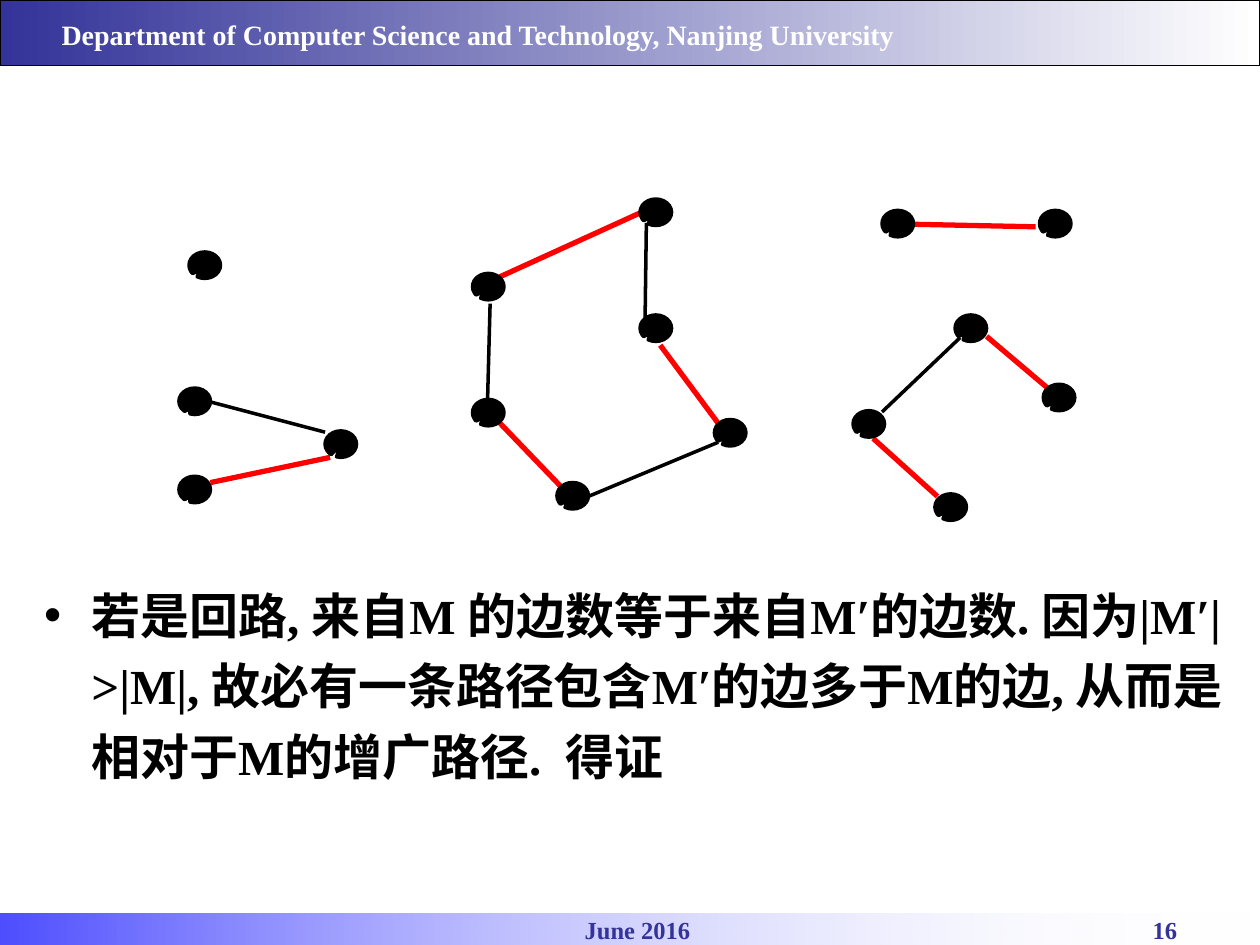
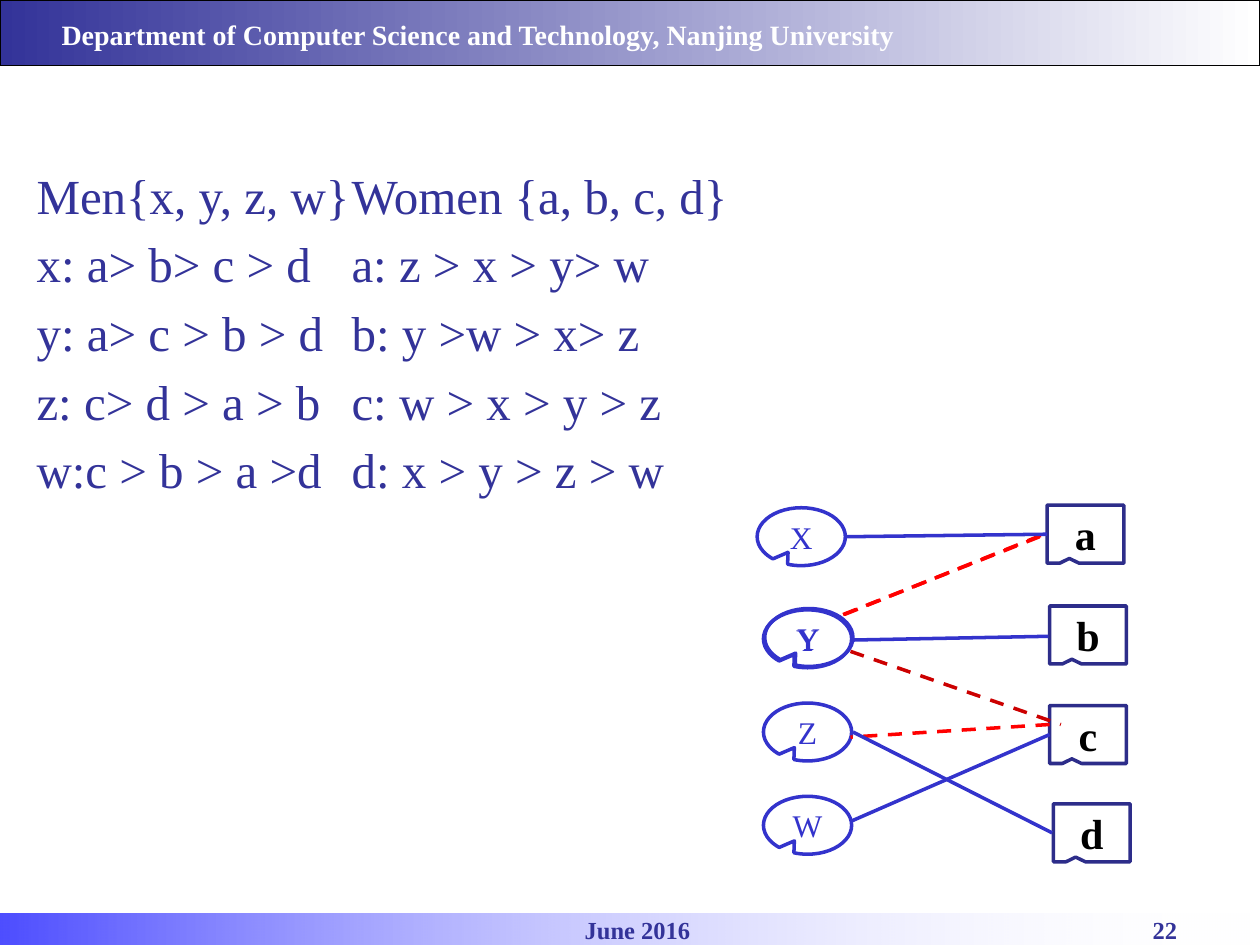
from lxml import etree
from pptx import Presentation
from pptx.dml.color import RGBColor
from pptx.enum import dml, shapes, text
from pptx.oxml import ns
from pptx.util import Inches, Pt

FONT = "Times New Roman"
NAVY = RGBColor(0x33, 0x33, 0x99)
DEEP_NAVY = RGBColor(0x2D, 0x2D, 0x8A)
BLUE = RGBColor(0x33, 0x33, 0xCC)
PURE_BLUE = RGBColor(0x00, 0x00, 0xFF)
RED = RGBColor(0xFF, 0x00, 0x00)
DARK_RED = RGBColor(0xCC, 0x00, 0x00)
BLACK = RGBColor(0x00, 0x00, 0x00)
WHITE = RGBColor(0xFF, 0xFF, 0xFF)
ELLIPSE = shapes.MSO_SHAPE.OVAL_CALLOUT
RECTANGLE = shapes.MSO_SHAPE.RECTANGULAR_CALLOUT


# Basic parts
def add_run(paragraph, words, size, color, bold=False):
    run = paragraph.add_run()
    run.text = words
    run.font.name, run.font.size = FONT, Pt(size)
    run.font.color.rgb, run.font.bold = color, bold


def add_label(slide, box, words, size, color, align):
    frame = slide.shapes.add_textbox(*map(Inches, box)).text_frame
    frame.word_wrap = True
    paragraph = frame.paragraphs[0]
    paragraph.alignment = align
    add_run(paragraph, words, size, color, bold=True)
    return paragraph


def add_band(slide, box, start, alphas=None):
    band = slide.shapes.add_shape(shapes.MSO_SHAPE.RECTANGLE, *map(Inches, box))
    band.shadow.inherit = False
    band.fill.gradient()
    band.fill.gradient_angle = 0
    for stop, color in zip(band.fill.gradient_stops, (start, WHITE)):
        stop.color.rgb = color
    if alphas:
        colors = band._element.spPr.iter(ns.qn("a:srgbClr"))
        for color, alpha in zip(colors, alphas):
            etree.SubElement(color, ns.qn("a:alpha"), val=str(alpha * 1000))
    return band


def add_edge(slide, origin, ends, color, width=2, dashed=False):
    left, top = origin
    x1, y1, x2, y2 = ends
    edge = slide.shapes.add_connector(
        shapes.MSO_CONNECTOR.STRAIGHT, Inches(left + x1), Inches(top + y1),
        Inches(left + x2), Inches(top + y2))
    edge.line.color.rgb, edge.line.width = color, Pt(width)
    if dashed:
        edge.line.dash_style = dml.MSO_LINE.DASH
    etree.SubElement(edge._element.spPr, ns.qn("a:effectLst"))


def add_callout(slide, kind, box, tip, line, fill=None):
    callout = slide.shapes.add_shape(kind, *map(Inches, box))
    callout.shadow.inherit = False
    callout.adjustments[0], callout.adjustments[1] = tip
    callout.line.color.rgb, callout.line.width = line, Pt(2)
    if fill is None:
        callout.fill.background()
    else:
        callout.fill.solid()
        callout.fill.fore_color.rgb = fill
    return callout


def add_person(slide, kind, box, tip, line, fill, name, size, color, bold):
    person = add_callout(slide, kind, box, tip, line, fill)
    frame = person.text_frame
    frame.word_wrap = False
    frame.vertical_anchor = text.MSO_ANCHOR.MIDDLE
    frame.paragraphs[0].alignment = text.PP_ALIGN.CENTER
    add_run(frame.paragraphs[0], name, size, color, bold)


# Shared frame: header band, footer band, date and page number
def add_framed_slide(deck, number):
    slide = deck.slides.add_slide(deck.slide_layouts[1])
    title = slide.shapes.title._element
    title.getparent().remove(title)
    header = add_band(slide, (0, 0, 10, 0.52), NAVY)
    header.line.color.rgb, header.line.width = BLACK, Pt(0.75)
    footer = add_band(slide, (0, 7.25, 10, 0.25), PURE_BLUE, alphas=(70, 0))
    footer.line.fill.background()
    add_label(slide, (0.06, 7.21, 10, 0.33), "June 2016", 14, NAVY,
              text.PP_ALIGN.CENTER)
    add_label(slide, (8.44, 7.21, 1, 0.33), str(number), 14, NAVY,
              text.PP_ALIGN.RIGHT)
    department = add_label(
        slide, (0.39, 0.12, 7.08, 0.67),
        "Department of Computer Science and Technology, Nanjing University",
        16, WHITE, text.PP_ALIGN.LEFT)
    department.line_spacing = 0.9
    return slide


def open_body(slide, box):
    body = slide.placeholders[1]
    body.left, body.top, body.width, body.height = map(Inches, box)
    body.text_frame.auto_size = text.MSO_AUTO_SIZE.NONE
    return body.text_frame


# Components of the union of two matchings
def draw_components(slide, origin):
    matching = [
        (0.67, 1.69, 1.58, 1.93), (2.89, 0.91, 2.87, 1.67),
        (4.13, 0.27, 4.12, 1.03), (4.7, 2.01, 3.67, 2.44),
        (6, 1.77, 6.62, 1.18)]
    larger_matching = [
        (0.67, 2.33, 1.62, 2.13), (7.22, 0.3, 6.25, 0.28),
        (4.24, 1.24, 4.7, 1.86), (2.96, 0.7, 4.08, 0.19),
        (2.96, 1.85, 3.45, 2.36), (5.93, 1.98, 6.44, 2.44),
        (7.35, 1.61, 6.83, 1.17)]
    vertices_by_tip = {
        (-0.15, 0.27): [(0.42, 2.28), (0.42, 1.58)],
        (-0.01, 0.02): [(1.58, 1.92)],
        (-0.15, 0.18): [
            (0.5, 0.5), (2.75, 0.67), (4.08, 0.08), (4.08, 1), (2.75, 1.67),
            (7.25, 0.17), (6, 0.17), (4.67, 1.83), (3.42, 2.33), (7.28, 1.55),
            (6.42, 2.42), (6.58, 1), (5.77, 1.76)]}
    for ends in matching:
        add_edge(slide, origin, ends, BLACK)
    for ends in larger_matching:
        add_edge(slide, origin, ends, RED, width=3)
    left, top = origin
    for tip, vertices in vertices_by_tip.items():
        for x, y in vertices:
            add_callout(slide, ELLIPSE, (left + x, top + y, 0.25, 0.21),
                        tip, BLACK, BLACK)


def write_proof(slide, box):
    paragraph = open_body(slide, box).paragraphs[0]
    paragraph.line_spacing = 1.2
    add_run(paragraph,
            "若是回路, 来自M 的边数等于来自M′的边数. 因为|M′| >|M|, "
            "故必有一条路径包含M′的边多于M的边, 从而是相对于M的增广路径.  得证",
            28, BLACK, bold=True)


# Preference lists in two columns, split by a tab stop
def write_preferences(slide, box):
    rows = [("Men{x, y, z, w}", "Women {a, b, c, d}"),
            ("x: a> b> c > d", "a: z > x > y> w"),
            ("y: a> c > b > d", "b: y >w > x> z"),
            ("z: c> d > a > b", "c: w > x > y > z"),
            ("w:c > b > a >d", "d: x > y > z > w")]
    frame = open_body(slide, box)
    for index, row in enumerate(rows):
        paragraph = frame.add_paragraph() if index else frame.paragraphs[0]
        settings = paragraph._p.get_or_add_pPr()
        settings.set("marL", "0")
        settings.set("indent", "0")
        etree.SubElement(settings, ns.qn("a:buNone"))
        tabs = etree.SubElement(settings, ns.qn("a:tabLst"))
        etree.SubElement(tabs, ns.qn("a:tab"), pos=str(Inches(2.57)), algn="l")
        add_run(paragraph, "\t".join(row), 28, NAVY)


# Men on the left, women on the right, and their pairings
def draw_marriages(slide, origin):
    left, top = origin
    # Y is doubled for emphasis
    men = [("X", 0.01, 0.03), ("Y", 0.06, 0.84), ("Z", 0.06, 1.58),
           ("W", 0.06, 2.32), ("Y", 0.07, 0.83)]
    women = [("a", 2.31, 0.01), ("b", 2.33, 0.81), ("c", 2.33, 1.6),
             ("d", 2.36, 2.38)]
    for name, x, y in men:
        add_person(slide, ELLIPSE, (left + x, top + y, 0.7, 0.46),
                   (-0.15, 0.27), BLUE, None, name, 18, BLUE, False)
    for name, x, y in women:
        add_person(slide, RECTANGLE, (left + x, top + y, 0.61, 0.46),
                   (-0.21, 0.42), DEEP_NAVY, WHITE, name, 24, BLACK, True)
    pairs = [(0.71, 0.26, 2.31, 0.24), (2.33, 1.83, 0.75, 2.52),
             (0.77, 1.81, 2.35, 2.61), (0.75, 1.08, 2.32, 1.05)]
    rejected = [((2.25, 0.26, 0.66, 0.89), RED), ((2.33, 1.75, 0.75, 1.85), RED),
                ((2.26, 0.25, 0.67, 0.89), RED),
                ((0.75, 1.17, 2.42, 1.75), DARK_RED)]
    for ends, color in rejected:
        add_edge(slide, origin, ends, color, dashed=True)
    for ends in pairs:
        add_edge(slide, origin, ends, BLUE)


deck = Presentation()
deck.slide_width, deck.slide_height = Inches(10), Inches(7.5)

proof = add_framed_slide(deck, 16)
write_proof(proof, (0.25, 4.5, 9.56, 2.67))
draw_components(proof, (1, 1.5))

marriage = add_framed_slide(deck, 22)
write_preferences(marriage, (0.19, 1.26, 9.75, 1.66))
draw_marriages(marriage, (6, 4))

deck.save("out.pptx")
